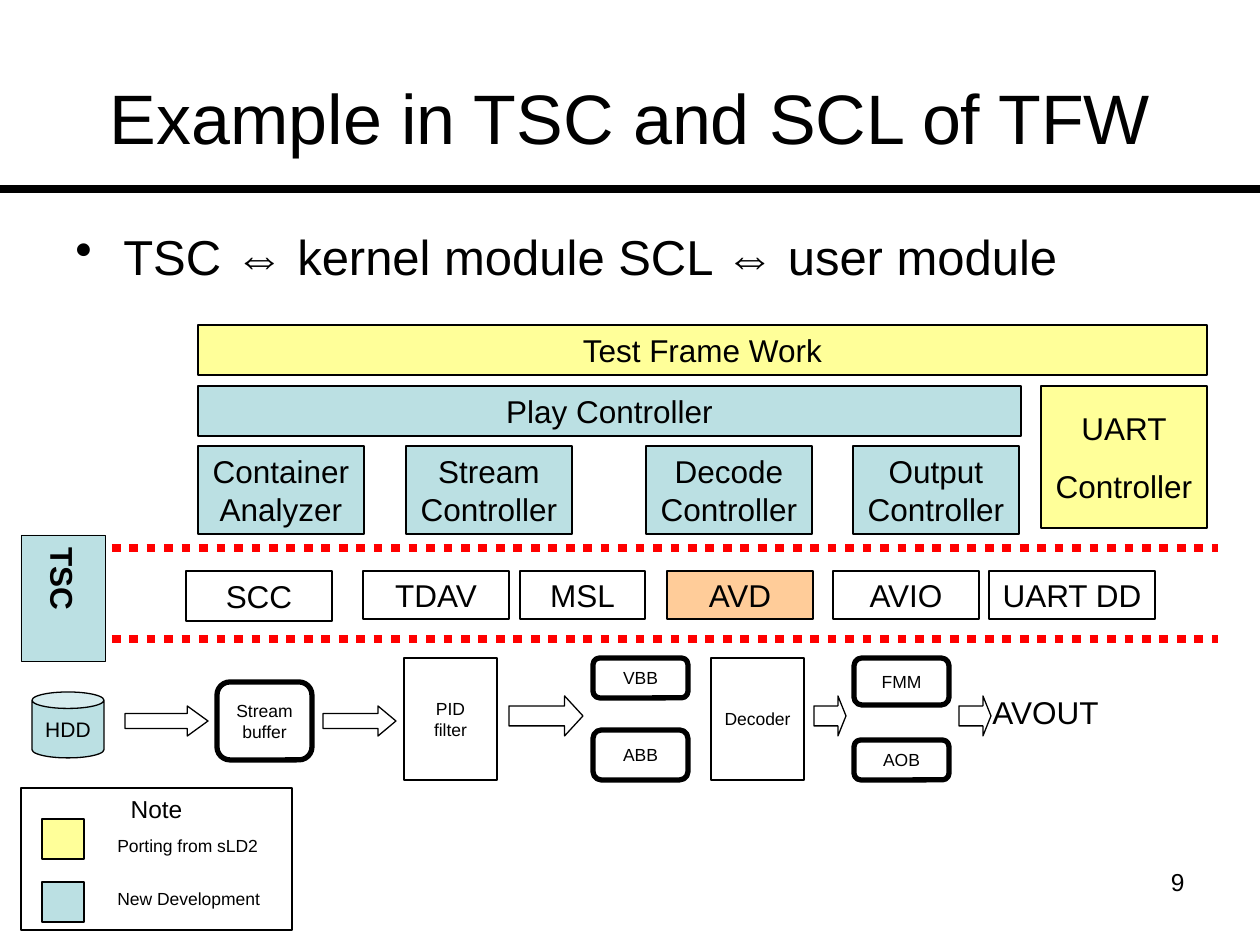
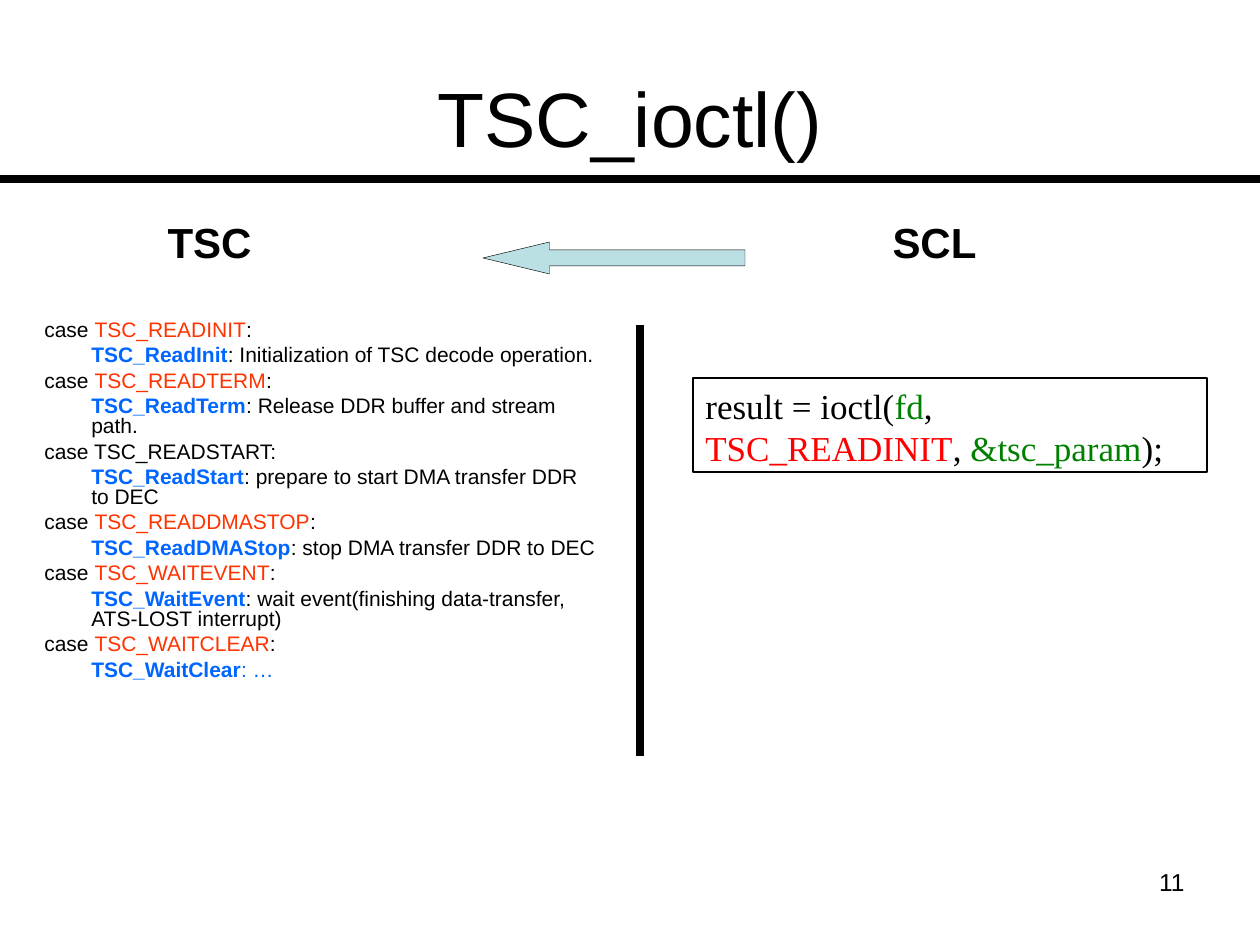
"""Build two slides on the TSC and SCL layers of a test framework."""
from dataclasses import dataclass

from lxml.etree import SubElement
from pptx import Presentation
from pptx.dml.color import RGBColor
from pptx.enum.dml import MSO_LINE
from pptx.enum.shapes import MSO_CONNECTOR, MSO_SHAPE
from pptx.enum.text import MSO_ANCHOR, MSO_AUTO_SIZE, PP_ALIGN
from pptx.oxml.ns import qn
from pptx.util import Pt

EMU_PER_PX = 914400 / 126


def px(length):
    """Turn pixels into EMU."""
    return round(length * EMU_PER_PX)


@dataclass(frozen=True)
class Theme:
    """Hold the colours, fonts and sizes of the deck."""
    black: str = "000000"
    white: str = "FFFFFF"
    ported: str = "FFFF99"
    developed: str = "BBE0E3"
    decoder: str = "FFCC99"
    red: str = "FF0000"
    request: str = "FF3300"
    handler: str = "0066FF"
    argument: str = "008000"
    sans: str = "Arial"
    serif: str = "Times New Roman"
    title: int = 40
    large_title: int = 44
    bullet: int = 28
    heading: int = 24
    call: int = 20
    block: int = 18
    note: int = 14
    code: int = 12
    small: int = 10
    hairline: float = 0.25
    thin: float = 0.75
    thick: float = 3
    rule: float = 4.5
    dots: float = 5


THEME = Theme()


@dataclass(frozen=True)
class Box:
    """Describe a rectangle in pixels."""
    left: int
    top: int
    width: int
    height: int

    def inner(self, left, top, width, height):
        """Return a box placed relative to this one."""
        return Box(self.left + left, self.top + top, width, height)

    def emu(self):
        """Return the four lengths in EMU."""
        return [px(n) for n in (self.left, self.top, self.width, self.height)]


@dataclass(frozen=True)
class Span:
    """Describe a piece of text with its own colour or weight."""
    text: str
    color: str = THEME.black
    bold: bool = False


def write(frame, lines, size, align=PP_ALIGN.CENTER, anchor=MSO_ANCHOR.MIDDLE,
          wrap=True, bold=False, font=THEME.sans, gap=0):
    """Fill a text frame with lines, each a string or a list of spans."""
    frame.auto_size = MSO_AUTO_SIZE.NONE
    frame.word_wrap = wrap
    frame.vertical_anchor = anchor
    frame.margin_left = frame.margin_right = Pt(7.2)
    frame.margin_top = frame.margin_bottom = Pt(3.6)
    for index, line in enumerate(lines):
        para = frame.paragraphs[0] if index == 0 else frame.add_paragraph()
        para.alignment = align
        para.space_before = Pt(gap)
        para.font.size = Pt(size)
        para.font.name = font
        para.font.bold = bold
        para.font.color.rgb = RGBColor.from_string(THEME.black)
        for span in [Span(line)] if isinstance(line, str) else line:
            run = para.add_run()
            run.text = span.text
            if span.color != THEME.black:
                run.font.color.rgb = RGBColor.from_string(span.color)
            if span.bold:
                run.font.bold = True


def indent(para, left, first=0):
    """Set the left margin and first-line indent of a paragraph."""
    properties = para._p.get_or_add_pPr()
    properties.set("marL", str(px(left)))
    properties.set("indent", str(px(first)))
    return properties


def add_text(page, box, lines, size, align=PP_ALIGN.LEFT,
             anchor=MSO_ANCHOR.TOP, **style):
    """Add a text box and return its frame."""
    frame = page.shapes.add_textbox(*box.emu()).text_frame
    write(frame, lines, size, align, anchor, **style)
    return frame


def add_block(page, box, lines=(), size=THEME.block, kind=MSO_SHAPE.RECTANGLE,
              fill=None, outline=THEME.black, weight=THEME.thin, wrap=False,
              **style):
    """Add an outlined shape with optional text."""
    shape = page.shapes.add_shape(kind, *box.emu())
    shape.shadow.inherit = False
    if fill:
        shape.fill.solid()
        shape.fill.fore_color.rgb = RGBColor.from_string(fill)
    else:
        shape.fill.background()
    shape.line.color.rgb = RGBColor.from_string(outline)
    shape.line.width = Pt(weight)
    if lines:
        write(shape.text_frame, lines, size, wrap=wrap, **style)
    return shape


def add_arrow(page, box, head, kind=MSO_SHAPE.RIGHT_ARROW, **style):
    """Add a block arrow with the given head length."""
    arrow = add_block(page, box, kind=kind, **style)
    arrow.adjustments[0] = 0.5
    arrow.adjustments[1] = head


def add_line(page, start, end, color=THEME.black, weight=THEME.rule, dash=None):
    """Add a straight line between two points."""
    line = page.shapes.add_connector(
        MSO_CONNECTOR.STRAIGHT, *(px(n) for n in (*start, *end)))
    line.line.color.rgb = RGBColor.from_string(color)
    line.line.width = Pt(weight)
    if dash:
        line.line.dash_style = dash
    SubElement(line._element.spPr, qn("a:effectLst"))


def add_page(deck, title, size, rule_top, number):
    """Add a slide with its title, rule and number."""
    page = deck.slides.add_slide(deck.slide_layouts[5])
    heading = page.shapes.title
    heading.left, heading.top, heading.width, heading.height = Box(
        63, 38, 1134, 158).emu()
    write(heading.text_frame, [title], size)
    add_line(page, (0, rule_top), (1260, rule_top))
    add_text(page, Box(903, 861, 294, 65), [number], THEME.note, PP_ALIGN.RIGHT)
    return page


def add_bullet(page, box, text):
    """Add a single bulleted line."""
    frame = add_text(page, box, [text], THEME.bullet, gap=7)
    properties = indent(frame.paragraphs[0], 48, -48)
    bullet = properties.makeelement(qn("a:buChar"), {"char": "•"})
    properties.find(qn("a:defRPr")).addprevious(bullet)


def add_user_modules(page, box):
    """Draw the framework and its controllers."""
    add_block(page, box.inner(0, 0, box.width, 50), ["Test Frame Work"],
              fill=THEME.ported)
    add_block(page, box.inner(0, 61, 823, 50), ["Play Controller"],
              fill=THEME.developed)
    add_block(page, box.inner(843, 61, 166, 142), ["UART", "Controller"],
              fill=THEME.ported, gap=11.2)
    controllers = ((0, "Container Analyzer"), (208, "Stream Controller"),
                   (448, "Decode Controller"), (655, "Output Controller"))
    for left, name in controllers:
        add_block(page, box.inner(left, 121, 166, 88), [name],
                  fill=THEME.developed, wrap=True)


def add_kernel_modules(page, box):
    """Draw the TSC band with its kernel modules."""
    for top in (box.top + 13, box.top + 104):
        add_line(page, (box.left + 21, top), (box.left + box.width, top),
                 THEME.red, THEME.dots, MSO_LINE.ROUND_DOT)
    modules = (("SCC", 165, 146, 50, None), ("TDAV", 342, 146, 48, None),
               ("MSL", 499, 125, 48, None),
               ("AVD", 646, 146, 48, THEME.decoder),
               ("AVIO", 812, 146, 48, None), ("UART DD", 968, 166, 48, None))
    for name, left, width, height, fill in modules:
        add_block(page, box.inner(left, 36, width, height), [name], fill=fill)
    label = add_block(page, box.inner(0, 0, 84, box.height), ["TSC"], bold=True,
                      fill=THEME.developed, weight=THEME.hairline)
    frame = label.text_frame
    frame.margin_left = frame.margin_right = Pt(3.6)
    frame.margin_top = frame.margin_bottom = Pt(7.2)
    frame._txBody.bodyPr.set("vert", "eaVert")


def add_stream_flow(page, box):
    """Draw the data path from the disk to the output."""
    add_block(page, box.inner(0, 34, 72, 66), ["HDD"], THEME.code,
              MSO_SHAPE.CAN, THEME.developed)
    buffers = ((["Stream", "buffer"], 185, 24, 78), (["VBB"], 561, 0, 40),
               (["ABB"], 561, 72, 50), (["FMM"], 822, 0, 47),
               (["AOB"], 822, 82, 40))
    for lines, left, top, height in buffers:
        add_block(page, box.inner(left, top, 95, height), lines, THEME.small,
                  MSO_SHAPE.ROUNDED_RECTANGLE, weight=THEME.thick)
    for lines, left in ((["PID", "filter"], 372), (["Decoder"], 679)):
        add_block(page, box.inner(left, 0, 93, box.height), lines, THEME.small)
    arrows = ((93, 48, 83, 30, 0.69), (291, 48, 73, 30, 0.6),
              (477, 38, 74, 40, 0.46), (782, 38, 32, 40, 0.25),
              (927, 38, 32, 40, 0.25))
    for *place, head in arrows:
        add_arrow(page, box.inner(*place), head)
    add_text(page, box.inner(948, 29, 134, 50), ["AVOUT"], THEME.block,
             wrap=False)


def add_legend(page, box):
    """Draw the note that explains the fills."""
    add_block(page, box, ["Note"], THEME.note, anchor=MSO_ANCHOR.TOP)
    entries = ((THEME.ported, 31, 41, "Porting from sLD2"),
               (THEME.developed, 94, 94, "New Development"))
    for fill, swatch_top, label_top, label in entries:
        add_block(page, box.inner(21, swatch_top, 42, 40), fill=fill)
        add_text(page, box.inner(84, label_top, 176, 34), [label], THEME.small)


def add_cases(page, box):
    """List each request with the handler it calls."""
    cases = (
        ("TSC_READINIT", "TSC_ReadInit",
         ": Initialization of TSC decode operation."),
        ("TSC_READTERM", "TSC_ReadTerm",
         ": Release DDR buffer and stream path."),
        ("TSC_READSTART", "TSC_ReadStart",
         ": prepare to start DMA transfer DDR to DEC"),
        ("TSC_READDMASTOP", "TSC_ReadDMAStop",
         ": stop DMA transfer DDR to DEC"),
        ("TSC_WAITEVENT", "TSC_WaitEvent",
         ": wait event(finishing data-transfer, ATS-LOST interrupt)"),
        ("TSC_WAITCLEAR", "TSC_WaitClear", ": …"))
    lines = []
    for request, handler, action in cases:
        request_color = (THEME.black if request == "TSC_READSTART"
                         else THEME.request)
        action_color = THEME.handler if action == ": …" else THEME.black
        lines.append([Span("case "), Span(request, request_color), Span(":")])
        lines.append([Span(handler, THEME.handler, True),
                      Span(action, action_color)])
    frame = add_text(page, box, lines, THEME.code, gap=3)
    for index, para in enumerate(frame.paragraphs):
        para.line_spacing = 0.8
        indent(para, 47 * (index % 2))


def add_call(page, box):
    """Show the call made by the user module."""
    call = [Span("result = ioctl("), Span("fd", THEME.argument), Span(", "),
            Span("TSC_READINIT", THEME.red), Span(", "),
            Span("&tsc_param", THEME.argument), Span(");")]
    add_block(page, box, [call], THEME.call, fill=THEME.white, wrap=True,
              align=PP_ALIGN.LEFT, anchor=MSO_ANCHOR.TOP, font=THEME.serif)


def add_sides(page, box):
    """Head the two columns and point from SCL to TSC."""
    for left, name in ((0, "TSC"), (725, "SCL")):
        add_block(page, box.inner(left, 0, 273, box.height), [name],
                  THEME.heading, fill=THEME.white, outline=THEME.white,
                  weight=THEME.hairline, bold=True)
    add_arrow(page, box.inner(410, 32, 262, 32), 2.08, MSO_SHAPE.LEFT_ARROW,
              fill=THEME.developed, weight=THEME.hairline)


def build_example(deck):
    """Build the slide of the layered example."""
    page = add_page(deck, "Example in TSC and SCL of TFW", THEME.title, 189, "9")
    add_bullet(page, Box(63, 220, 1134, 624),
               "TSC ⇔ kernel module SCL ⇔ user module")
    add_user_modules(page, Box(198, 325, 1009, 209))
    add_kernel_modules(page, Box(21, 535, 1197, 126))
    add_stream_flow(page, Box(32, 658, 1082, 122))
    add_legend(page, Box(21, 788, 271, 142))


def build_ioctl(deck):
    """Build the slide of the control call."""
    page = add_page(deck, "TSC_ioctl()", THEME.large_title, 179, "11")
    add_cases(page, Box(32, 315, 577, 456))
    add_call(page, Box(693, 378, 514, 94))
    add_sides(page, Box(73, 210, 998, 63))
    add_line(page, (640, 325), (640, 756))


def main():
    """Build and save the deck."""
    deck = Presentation()
    deck.slide_width, deck.slide_height = px(1260), px(945)
    build_example(deck)
    build_ioctl(deck)
    deck.save("out.pptx")


if __name__ == "__main__":
    main()
